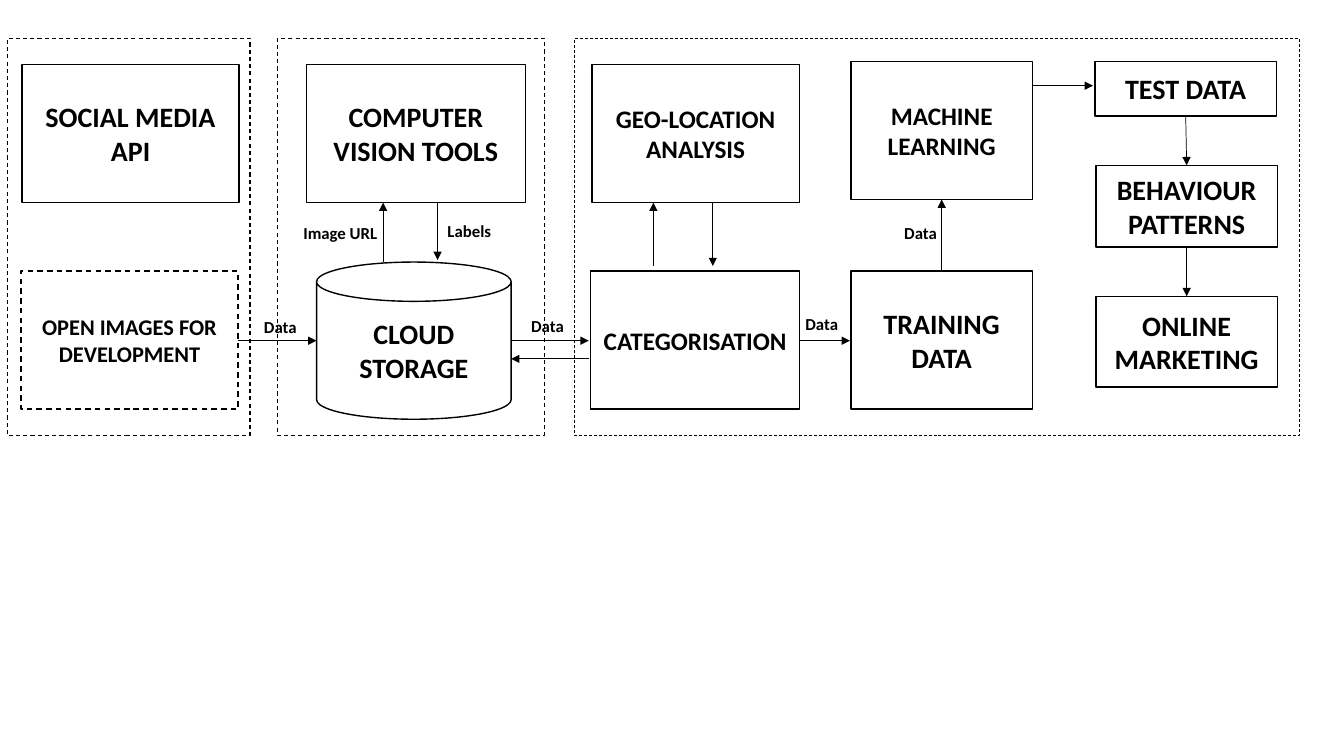
import pptx
import pptx.util
import pptx.dml.color
import pptx.enum.dml
import pptx.enum.shapes
import pptx.enum.text
import pptx.oxml

Inches, Pt = pptx.util.Inches, pptx.util.Pt
KIND = pptx.enum.shapes.MSO_SHAPE
DASH = pptx.enum.dml.MSO_LINE.DASH
ALIGN = pptx.enum.text.PP_ALIGN
HUES = {"ink": "000000", "paper": "FFFFFF"}
NS = 'xmlns:a="http://schemas.openxmlformats.org/drawingml/2006/main"'
TALL = 1.37  # height of the main boxes
TOP, LOW = 0.26, 2.31  # upper and lower row inside a frame


def hue(name):
    return pptx.dml.color.RGBColor.from_string(HUES[name])


def apply(item, form):
    for key, value in form.items():
        setattr(item, key, value)


def style(line, width, dash=None):
    line.color.rgb = hue("ink")
    apply(line, {"width": Pt(width), "dash_style": dash})


def write(shape, text, size, align):
    para = shape.text_frame.paragraphs[0]
    para.alignment = align
    run = para.add_run()
    run.text = text
    apply(run.font, {"name": "Calibri", "size": Pt(size), "bold": True})
    run.font.color.rgb = hue("ink")


def frame(slide, box, width):
    shape = slide.shapes.add_shape(KIND.RECTANGLE, *map(Inches, box))
    shape.shadow.inherit = False
    shape.fill.background()
    style(shape.line, width, DASH)


def node(slide, box, text, x, y, w, h=TALL, size=20, kind=KIND.RECTANGLE, dash=None):
    place = (box[0] + x, box[1] + y, w, h)
    shape = slide.shapes.add_shape(kind, *map(Inches, place))
    shape.shadow.inherit = False
    shape.fill.solid()
    shape.fill.fore_color.rgb = hue("paper")
    style(shape.line, 1, dash)
    apply(shape.text_frame, {
        "word_wrap": True,
        "vertical_anchor": pptx.enum.text.MSO_ANCHOR.MIDDLE,
    })
    write(shape, text, size, ALIGN.CENTER)


def label(slide, box, text, x, y, w=0.53):
    place = (box[0] + x, box[1] + y, w, 0.3)
    shape = slide.shapes.add_textbox(*map(Inches, place))
    shape.text_frame.word_wrap = False
    write(shape, text, 12, ALIGN.LEFT)


def arrow(slide, box, x1, y1, x2, y2):
    left, top = box[:2]
    ends = (left + x1, top + y1, left + x2, top + y2)
    link = slide.shapes.add_connector(
        pptx.enum.shapes.MSO_CONNECTOR.STRAIGHT, *map(Inches, ends))
    style(link.line, 0.5)
    link.line._get_or_add_ln().append(
        pptx.oxml.parse_xml(f'<a:tailEnd {NS} type="triangle"/>'))
    link._element.spPr.append(pptx.oxml.parse_xml(f"<a:effectLst {NS}/>"))


def sources(slide, box):
    frame(slide, box, 0.75)
    node(slide, box, "SOCIAL MEDIA API", 0.15, TOP, 2.15)
    node(slide, box, "OPEN IMAGES FOR DEVELOPMENT", 0.14, LOW, 2.15, size=16, dash=DASH)


def vision(slide, box):
    frame(slide, box, 0.75)
    node(slide, box, "COMPUTER VISION TOOLS", 0.29, TOP, 2.17)
    node(slide, box, "CLOUD STORAGE", 0.39, 2.22, 1.93, 1.56, kind=KIND.CAN)
    arrow(slide, box, 1.05, 2.22, 1.05, 1.63)
    arrow(slide, box, 1.59, 1.63, 1.59, 2.2)
    label(slide, box, "Image URL", 0.16, 1.78, 0.95)
    label(slide, box, "Labels", 1.59, 1.76, 0.73)


def study(slide, box):
    frame(slide, box, 0.5)
    # Location and categories
    node(slide, box, "GEO-LOCATION ANALYSIS", 0.17, TOP, 2.06, size=18)
    node(slide, box, "CATEGORISATION", 0.16, LOW, 2.07, size=18)
    arrow(slide, box, 0.78, 2.26, 0.78, 1.63)
    arrow(slide, box, 1.37, 1.63, 1.37, 2.26)
    # Training
    node(slide, box, "MACHINE LEARNING", 2.74, 0.23, 1.8, size=18)
    node(slide, box, "TRAINING DATA", 2.74, LOW, 1.8)
    arrow(slide, box, 2.23, 3, 2.73, 3)
    arrow(slide, box, 3.64, LOW, 3.64, 1.6)
    label(slide, box, "Data", 2.19, 2.68)
    label(slide, box, "Data", 3.17, 1.78)
    # Results
    node(slide, box, "TEST DATA", 5.16, 0.23, 1.8, 0.54)
    node(slide, box, "BEHAVIOUR PATTERNS", 5.17, 1.26, 1.8, 0.81)
    node(slide, box, "ONLINE MARKETING", 5.17, 2.56, 1.8, 0.9)
    arrow(slide, box, 4.54, 0.47, 5.14, 0.47)
    arrow(slide, box, 6.06, 0.77, 6.07, 1.26)
    arrow(slide, box, 6.07, 2.07, 6.07, 2.56)


def flows(slide, box):
    # Links across the frames, placed from the middle frame
    arrow(slide, box, -0.39, 3, 0.39, 3)
    arrow(slide, box, 2.32, 3, 3.09, 3)
    arrow(slide, box, 3.09, 3.18, 2.32, 3.18)
    label(slide, box, "Data", -0.23, 2.71)
    label(slide, box, "Data", 2.42, 2.7)


deck = pptx.Presentation()
apply(deck, {"slide_width": Inches(13.33), "slide_height": Inches(7.5)})
page = deck.slides.add_slide(deck.slide_layouts[6])
middle = (2.75, 0.38, 2.65, 3.94)
sources(page, (0.07, 0.38, 2.41, 3.94))
vision(page, middle)
study(page, (5.7, 0.38, 7.19, 3.94))
flows(page, middle)
deck.save("out.pptx")
